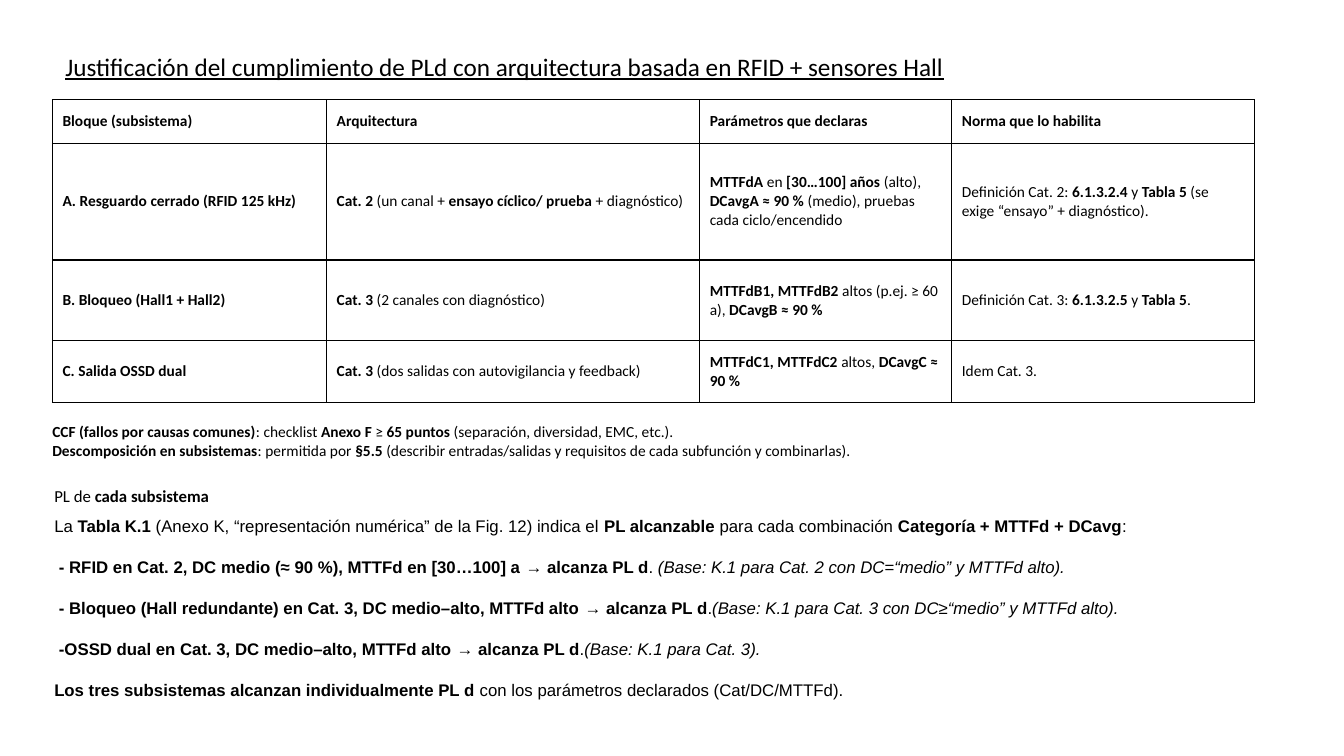
"""Builds the slide that justifies PLd compliance with RFID and Hall sensors."""
from lxml import etree
from pptx import Presentation
from pptx.dml.color import RGBColor
from pptx.enum.text import MSO_ANCHOR
from pptx.oxml.ns import qn
from pptx.util import Inches, Pt

TOP = MSO_ANCHOR.TOP
MIDDLE = MSO_ANCHOR.MIDDLE

COLUMN_WIDTHS = [2.72, 3.7, 2.5, 3]
ROW_HEIGHTS = [0.43, 1.16, 0.8, 0.61]
SUBSYSTEMS = [
    ["*Bloque (subsistema)*", "*Arquitectura*", "*Parámetros que declaras*", "*Norma que lo habilita*"],
    ["*A. Resguardo cerrado (RFID 125 kHz)*",
     "*Cat. 2* (un canal + *ensayo cíclico/ prueba* + diagnóstico)",
     "*MTTFdA* en *[30…100] años* (alto), *DCavgA ≈ 90 %* (medio), pruebas cada ciclo/encendido",
     "Definición Cat. 2: *6.1.3.2.4* y *Tabla 5* (se exige “ensayo” + diagnóstico)."],
    ["*B. Bloqueo (Hall1 + Hall2)*",
     "*Cat. 3* (2 canales con diagnóstico)",
     "*MTTFdB1, MTTFdB2* altos (p.ej. ≥ 60 a), *DCavgB ≈ 90 %*",
     "Definición Cat. 3: *6.1.3.2.5* y *Tabla 5*."],
    ["*C. Salida OSSD dual*",
     "*Cat. 3* (dos salidas con autovigilancia y feedback)",
     "*MTTFdC1, MTTFdC2* altos, *DCavgC ≈ 90 %*",
     "Idem Cat. 3."],
]
COMMON_CAUSES = [
    "*CCF (fallos por causas comunes)*: checklist *Anexo F* ≥ *65 puntos* (separación, diversidad, EMC, etc.).",
    "*Descomposición en subsistemas*: permitida por *§5.5* "
    "(describir entradas/salidas y requisitos de cada subfunción y combinarlas).",
]
PERFORMANCE_LEVELS = [
    "La *Tabla K.1* (Anexo K, “representación numérica” de la Fig. 12) indica el *PL alcanzable* "
    "para cada combinación *Categoría + MTTFd + DCavg*:",
    "* - RFID en Cat. 2, DC medio (≈ 90 %), MTTFd en [30…100] a* → *alcanza PL d*. "
    "~(Base: K.1 para Cat. 2 con DC=“medio” y MTTFd alto).",
    "* - Bloqueo (Hall redundante) en Cat. 3, DC medio–alto, MTTFd alto* → *alcanza PL d*."
    "~(Base: K.1 para Cat. 3 con DC≥“medio” y MTTFd alto).",
    "* -OSSD dual en Cat. 3, DC medio–alto, MTTFd alto* → *alcanza PL d*."
    "~(Base: K.1 para Cat. 3).",
    "*Los tres subsistemas alcanzan individualmente PL d* con los parámetros declarados (Cat/DC/MTTFd).",
]


def color(value):
    return RGBColor.from_string(value)


class SlideBuilder:
    ink = "000000"
    border_width = Pt(1)

    def __init__(self, slide):
        self.slide = slide

    def add_run(self, paragraph, text, size, font, bold=False, italic=False, underline=False):
        run = paragraph.add_run()
        run.text = text
        run.font.size = Pt(size)
        run.font.name = font
        run.font.bold = bold
        run.font.italic = italic
        run.font.underline = underline
        run.font.color.rgb = color(self.ink)

    def add_runs(self, paragraph, markup, size, font, underline=False):
        plain, _, italic = markup.partition("~")
        for index, part in enumerate(plain.split("*")):
            if part:
                self.add_run(paragraph, part, size, font, bold=index % 2 == 1, underline=underline)
        if italic:
            self.add_run(paragraph, italic, size, font, italic=True)

    def text(self, left, top, width, height, lines, size, font="Calibri", anchor=TOP, gap=0, underline=False):
        box = self.slide.shapes.add_textbox(Inches(left), Inches(top), Inches(width), Inches(height))
        frame = box.text_frame
        frame.word_wrap = True
        frame.vertical_anchor = anchor
        for index, line in enumerate(lines):
            paragraph = frame.add_paragraph() if index else frame.paragraphs[0]
            if index:
                paragraph.space_before = Pt(gap)
            self.add_runs(paragraph, line, size, font, underline)

    def border(self, cell):
        properties = cell._tc.get_or_add_tcPr()
        for side in ("a:lnL", "a:lnR", "a:lnT", "a:lnB"):
            line = etree.SubElement(properties, qn(side), w=str(self.border_width))
            fill = etree.SubElement(line, qn("a:solidFill"))
            etree.SubElement(fill, qn("a:srgbClr"), val=self.ink)

    def table(self, left, top, widths, heights, rows, size):
        frame = self.slide.shapes.add_table(
            len(heights), len(widths), Inches(left), Inches(top), Inches(sum(widths)), Inches(sum(heights)))
        table = frame.table
        table.first_row = False
        table.horz_banding = False
        for column, width in zip(table.columns, widths):
            column.width = Inches(width)
        for row, height, texts in zip(table.rows, heights, rows):
            row.height = Inches(height)
            for cell, markup in zip(row.cells, texts):
                cell.vertical_anchor = MIDDLE
                self.border(cell)
                cell.fill.background()
                self.add_runs(cell.text_frame.paragraphs[0], markup, size, "Calibri")


def main():
    presentation = Presentation()
    presentation.slide_width = Inches(13.33)
    presentation.slide_height = Inches(7.5)
    builder = SlideBuilder(presentation.slides.add_slide(presentation.slide_layouts[6]))
    builder.text(0.55, 0.46, 10.01, 0.4,
                 ["Justificación del cumplimiento de PLd con arquitectura basada en RFID + sensores Hall"],
                 18, underline=True)
    builder.table(0.52, 0.99, COLUMN_WIDTHS, ROW_HEIGHTS, SUBSYSTEMS, 11)
    builder.text(0.42, 4.14, 9.25, 0.47, COMMON_CAUSES, 11)
    builder.text(0.44, 4.77, 6.67, 0.3, ["PL de *cada subsistema*"], 12)
    builder.text(0.44, 5.07, 10.94, 1.92, PERFORMANCE_LEVELS, 12, font="Arial", anchor=MIDDLE, gap=15)
    presentation.save("out.pptx")


if __name__ == "__main__":
    main()
